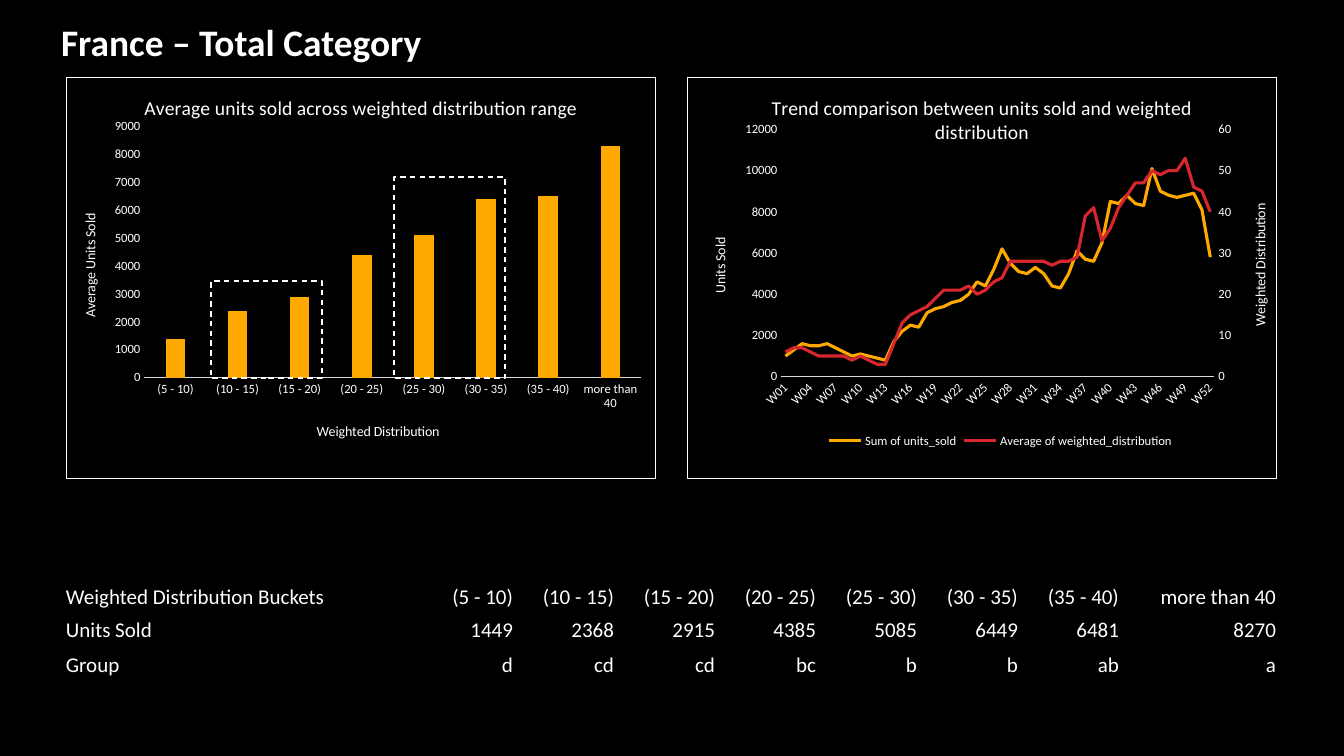
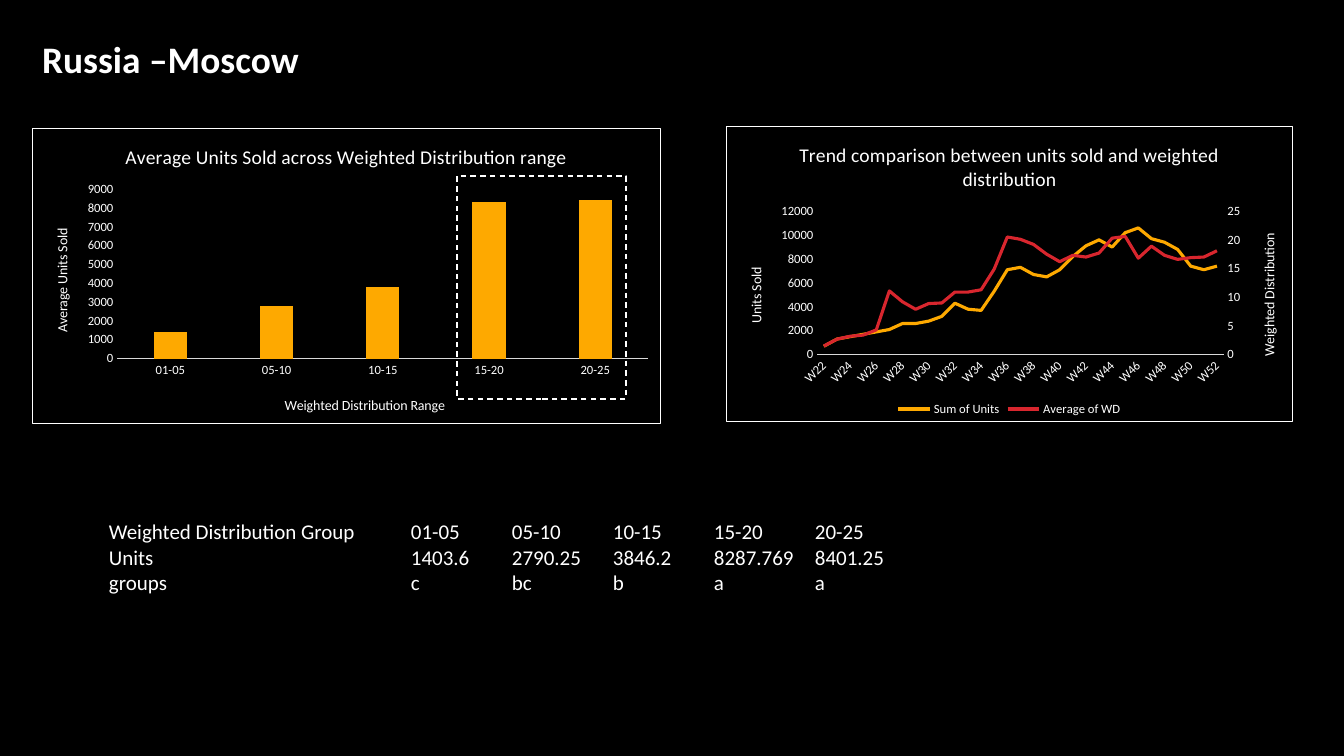
"""Build two black slides comparing units sold with weighted distribution."""
from copy import deepcopy

from pptx import Presentation
from pptx.chart.axis import CategoryAxis, ValueAxis
from pptx.chart.data import CategoryChartData
from pptx.dml.color import RGBColor
from pptx.enum.chart import XL_CHART_TYPE, XL_LEGEND_POSITION, XL_TICK_MARK
from pptx.enum.dml import MSO_LINE
from pptx.enum.shapes import MSO_SHAPE
from pptx.enum.text import MSO_ANCHOR, MSO_AUTO_SIZE, PP_ALIGN
from pptx.oxml import parse_xml
from pptx.oxml.ns import nsdecls, qn
from pptx.util import Emu, Pt

SCALE = 914400 / 100.8
FONT = "Calibri"
BLACK, WHITE, GREY, ORANGE, RED = "000000", "FFFFFF", "D9D9D9", "FEA900", "D8262E"
NO_GRID_STYLE = "{2D5ABB26-0587-4C30-8999-92F81FD0307C}"
TREND_TITLE = "Trend comparison between units sold and weighted distribution"

FRANCE = {
    "title": ("France – Total Category", (51, 23, 1093, 47)),
    "bars": {
        "title": "Average units sold across weighted distribution range",
        "box": (66, 77, 590, 402), "plot": (144, 126, 498, 252),
        "cats": ["(5 - 10)", "(10 - 15)", "(15 - 20)", "(20 - 25)",
                 "(25 - 30)", "(30 - 35)", "(35 - 40)", "more than 40"],
        "series": [("Series 1", [1400, 2400, 2900, 4400, 5100, 6400, 6500, 8300])],
        "cat_title": ("Weighted Distribution", (314, 420)),
        "val_title": ("Average Units Sold", (78, 211)), "scale": (9000, 1000),
    },
    "trend": {
        "title": TREND_TITLE,
        "box": (687, 77, 590, 402), "plot": (781, 129, 434, 248),
        "cats": [f"W{n:02}" for n in range(1, 53)], "label_skip": 3,
        "series": [
            ("Sum of units_sold", [
                1000, 1300, 1600, 1500, 1500, 1600, 1400, 1200, 1000, 1100, 1000, 900, 800,
                1700, 2200, 2500, 2400, 3100, 3300, 3400, 3600, 3700, 4000, 4600, 4400, 5200,
                6200, 5500, 5100, 5000, 5300, 5000, 4400, 4300, 5000, 6100, 5700, 5600, 6500,
                8500, 8400, 8800, 8400, 8300, 10100, 9000, 8800, 8700, 8800, 8900, 8100, 5800]),
            ("Average of weighted_distribution", [
                6, 7, 7, 6, 5, 5, 5, 5, 4, 5, 4, 3, 3, 8, 13, 15, 16, 17, 19, 21, 21, 21, 22,
                20, 21, 23, 24, 28, 28, 28, 28, 28, 27, 28, 28, 29, 39, 41, 33, 36, 41, 44, 47,
                47, 50, 49, 50, 50, 53, 46, 45, 40]),
        ],
        "val_title": ("Units Sold", (708, 235)), "scale": (12000, 2000),
        "right_title": ("Weighted Distribution", (1249, 201)), "right_scale": (60, 10),
        "legend": (825, 430),
    },
    "frames": [(211, 281, 111, 97), (394, 177, 111, 201)],
}
MOSCOW = {
    "title": ("Russia –Moscow", (32, 40, 1093, 47)),
    "bars": {
        "title": "Average Units Sold across Weighted Distribution range",
        "box": (32, 128, 629, 296), "plot": (117, 189, 532, 170),
        "cats": ["01-05", "05-10", "10-15", "15-20", "20-25"],
        "series": [("Series 1", [1400, 2800, 3800, 8300, 8400])],
        "cat_title": ("Weighted Distribution Range", (282, 394)),
        "val_title": ("Average Units Sold", (50, 226)), "scale": (9000, 1000),
    },
    "trend": {
        "title": TREND_TITLE,
        "box": (726, 126, 567, 296), "plot": (817, 211, 407, 144),
        "cats": [f"W{n}" for n in range(22, 53)], "label_skip": 2,
        "series": [
            ("Sum of Units", [
                700, 1300, 1500, 1700, 1900, 2100, 2600, 2600, 2800, 3200, 4300, 3800, 3700,
                5300, 7100, 7300, 6700, 6500, 7100, 8200, 9100, 9600, 9000, 10200, 10600,
                9700, 9400, 8800, 7400, 7100, 7400]),
            ("Average of WD", [
                1.5, 2.7, 3.2, 3.4, 4.3, 11.1, 9.2, 7.9, 8.9, 9, 10.9, 10.9, 11.3, 14.9, 20.5,
                20.1, 19.2, 17.5, 16.2, 17.3, 17, 17.7, 20.3, 20.6, 16.8, 18.9, 17.3, 16.6,
                16.9, 17, 18.1]),
        ],
        "val_title": ("Units Sold", (744, 265)), "scale": (12000, 2000),
        "right_title": ("Weighted Distribution", (1258, 231)), "right_scale": (25, 5),
        "legend": (894, 400),
    },
    "frames": [(457, 176, 169, 223)],
}

TABLE_AT = (65, 577)
TABLE_COLS = [360, 89] + [101] * 6 + [157]
TABLE_HEIGHTS = [33, 33, 35]
TABLE_ROWS = [
    ["Weighted Distribution Buckets"] + FRANCE["bars"]["cats"],
    ["Units Sold", "1449", "2368", "2915", "4385", "5085", "6449", "6481", "8270"],
    ["Group", "d", "cd", "cd", "bc", "b", "b", "ab", "a"],
]
LIST_BOX = (99, 514, 1085, 87)
LIST_TABS = [302 + 101 * n for n in range(5)]
LIST_ROWS = [
    ["Weighted Distribution Group"] + MOSCOW["bars"]["cats"],
    ["Units", "1403.6", "2790.25", "3846.2", "8287.769", "8401.25"],
    ["groups", "c", "bc", "b", "a", "a"],
]


def px(n):
    return Emu(round(n * SCALE))


def rgb(color):
    return RGBColor.from_string(color)


def style_font(font, size, bold=False):
    font.name, font.size, font.bold = FONT, Pt(size), bold
    font.color.rgb = rgb(WHITE)


def add_run(p, text, size, bold=False):
    r = p.add_run()
    r.text = text
    style_font(r.font, size, bold)


def set_title(slide, text, box):
    sp = slide.shapes.title
    sp.left, sp.top, sp.width, sp.height = map(px, box)
    tf = sp.text_frame
    tf.auto_size, tf.vertical_anchor = MSO_AUTO_SIZE.NONE, MSO_ANCHOR.TOP
    p = tf.paragraphs[0]
    p.alignment, p.line_spacing = PP_ALIGN.LEFT, 0.8
    add_run(p, text, 26.7, True)


def set_layout(parent, chart_box, part, inner=False):
    left, top, width, height = chart_box
    fractions = [(part[0] - left) / width, (part[1] - top) / height]
    fractions += [size / whole for size, whole in zip(part[2:], (width, height))]
    target = '<c:layoutTarget val="inner"/>' if inner else ""
    modes = '<c:xMode val="edge"/><c:yMode val="edge"/>'
    values = "".join(f'<c:{k} val="{v:.4f}"/>' for k, v in zip("xywh", fractions))
    layout = parse_xml(f'<c:layout {nsdecls("c")}><c:manualLayout>{target}{modes}{values}'
                       '</c:manualLayout></c:layout>')
    old = parent.find(qn("c:layout"))
    if old is None:
        parent.insert(0, layout)
    else:
        parent.replace(old, layout)


def style_axis(axis, chart_box, title=None, scale=None):
    axis.has_major_gridlines = False
    axis.major_tick_mark = axis.minor_tick_mark = XL_TICK_MARK.NONE
    style_font(axis.tick_labels.font, 9)
    if scale:
        axis.minimum_scale, axis.maximum_scale, axis.major_unit = 0, *scale
        axis.format.line.fill.background()
    else:
        axis.format.line.color.rgb = rgb(GREY)
        axis.format.line.width = Pt(0.75)
    if title:
        text, at = title
        axis.has_title = True
        add_run(axis.axis_title.text_frame.paragraphs[0], text, 10)
        set_layout(axis.axis_title._element, chart_box, at)
    else:
        axis.has_title = False


def add_right_axis(chart):
    plot_area = chart._chartSpace.chart.plotArea
    first = plot_area.find(qn("c:lineChart"))
    cat, val = plot_area.find(qn("c:catAx")), plot_area.find(qn("c:valAx"))
    second, cat2, val2 = deepcopy(first), deepcopy(cat), deepcopy(val)
    first.remove(first.findall(qn("c:ser"))[1])
    second.remove(second.findall(qn("c:ser"))[0])
    first.addnext(second)
    val.addnext(val2)
    val2.addnext(cat2)
    for ref, axis_id in zip(second.findall(qn("c:axId")), ("5001", "5002")):
        ref.set("val", axis_id)
    for axis, own, other in ((cat2, "5001", "5002"), (val2, "5002", "5001")):
        axis.find(qn("c:axId")).set("val", own)
        axis.find(qn("c:crossAx")).set("val", other)
    CategoryAxis(cat2).visible = False
    val2.find(qn("c:axPos")).set("val", "r")
    val2.find(qn("c:crosses")).set("val", "max")
    return ValueAxis(val2)


def add_chart(slide, spec, kind):
    data = CategoryChartData(number_format="General")
    data.categories = spec["cats"]
    for name, values in spec["series"]:
        data.add_series(name, values)
    box = spec["box"]
    chart = slide.shapes.add_chart(kind, *map(px, box), data).chart
    style_font(chart.font, 10)
    chart.has_title = True
    add_run(chart.chart_title.text_frame.paragraphs[0], spec["title"], 14)
    chart.chart_title.include_in_layout = False
    chart._chartSpace.chart.addnext(parse_xml(
        f'<c:spPr {nsdecls("c", "a")}><a:noFill/><a:ln w="9525"><a:solidFill>'
        f'<a:srgbClr val="{WHITE}"/></a:solidFill></a:ln></c:spPr>'))
    chart.has_legend = "legend" in spec
    left_axis = chart.value_axis
    if "right_scale" in spec:
        style_axis(add_right_axis(chart), box, spec["right_title"], spec["right_scale"])
    style_axis(chart.category_axis, box, spec.get("cat_title"))
    style_axis(left_axis, box, spec["val_title"], spec["scale"])
    set_layout(chart._chartSpace.chart.plotArea, box, spec["plot"], inner=True)
    return chart


def add_bars(slide, spec):
    plot = add_chart(slide, spec, XL_CHART_TYPE.COLUMN_CLUSTERED).plots[0]
    plot.gap_width, plot.overlap, plot.vary_by_categories = 219, -27, False
    fill = plot.series[0].format.fill
    fill.solid()
    fill.fore_color.rgb = rgb(ORANGE)


def add_trend(slide, spec):
    chart = add_chart(slide, spec, XL_CHART_TYPE.LINE)
    for plot, color in zip(chart.plots, (ORANGE, RED)):
        plot.vary_by_categories = False
        series = plot.series[0]
        series.smooth = False
        series.format.line.color.rgb = rgb(color)
        series.format.line.width = Pt(2.25)
    cat_ax = chart.category_axis._element
    cat_ax.find(qn("c:txPr")).find(qn("a:bodyPr")).set("rot", "-2700000")
    skip = parse_xml(f'<c:tickLblSkip {nsdecls("c")} val="{spec["label_skip"]}"/>')
    cat_ax.find(qn("c:noMultiLvlLbl")).addprevious(skip)
    legend = chart.legend
    set_layout(legend._element, spec["box"], spec["legend"])
    legend.position, legend.include_in_layout = XL_LEGEND_POSITION.BOTTOM, False
    style_font(legend.font, 9)


def add_frame(slide, box):
    sp = slide.shapes.add_shape(MSO_SHAPE.RECTANGLE, *map(px, box))
    sp.shadow.inherit = False
    sp.fill.background()
    sp.line.color.rgb = rgb(WHITE)
    sp.line.width, sp.line.dash_style = Pt(1), MSO_LINE.DASH


def add_bucket_table(slide):
    size = sum(TABLE_COLS), sum(TABLE_HEIGHTS)
    table = slide.shapes.add_table(len(TABLE_ROWS), len(TABLE_COLS),
                                   *map(px, TABLE_AT + size)).table
    table.first_row = table.horz_banding = False
    table._tbl.tblPr.find(qn("a:tableStyleId")).text = NO_GRID_STYLE
    for col, width in zip(table.columns, TABLE_COLS):
        col.width = px(width)
    for row, height, texts in zip(table.rows, TABLE_HEIGHTS, TABLE_ROWS):
        row.height = px(height)
        for i, (cell, text) in enumerate(zip(row.cells, texts)):
            cell.fill.background()
            cell.vertical_anchor = MSO_ANCHOR.BOTTOM
            cell.margin_left = cell.margin_right = cell.margin_top = px(1)
            cell.margin_bottom = 0
            p = cell.text_frame.paragraphs[0]
            p.alignment = PP_ALIGN.RIGHT if i else PP_ALIGN.LEFT
            add_run(p, text, 15)


def add_group_list(slide):
    tf = slide.shapes.add_textbox(*map(px, LIST_BOX)).text_frame
    tf.word_wrap = True
    stops = "".join(f'<a:tab pos="{px(n)}" algn="l"/>' for n in LIST_TABS)
    for i, texts in enumerate(LIST_ROWS):
        p = tf.add_paragraph() if i else tf.paragraphs[0]
        p._p.get_or_add_pPr().append(parse_xml(f'<a:tabLst {nsdecls("a")}>{stops}</a:tabLst>'))
        add_run(p, "\t".join(texts), 15)


def main():
    prs = Presentation()
    prs.slide_width, prs.slide_height = px(1344), px(756)
    backdrop = prs.slide_master.background.fill
    backdrop.solid()
    backdrop.fore_color.rgb = rgb(BLACK)
    for content, add_groups in ((FRANCE, add_bucket_table), (MOSCOW, add_group_list)):
        slide = prs.slides.add_slide(prs.slide_layouts[5])
        set_title(slide, *content["title"])
        add_bars(slide, content["bars"])
        add_trend(slide, content["trend"])
        add_groups(slide)
        for box in content["frames"]:
            add_frame(slide, box)
    prs.save("out.pptx")


if __name__ == "__main__":
    main()
